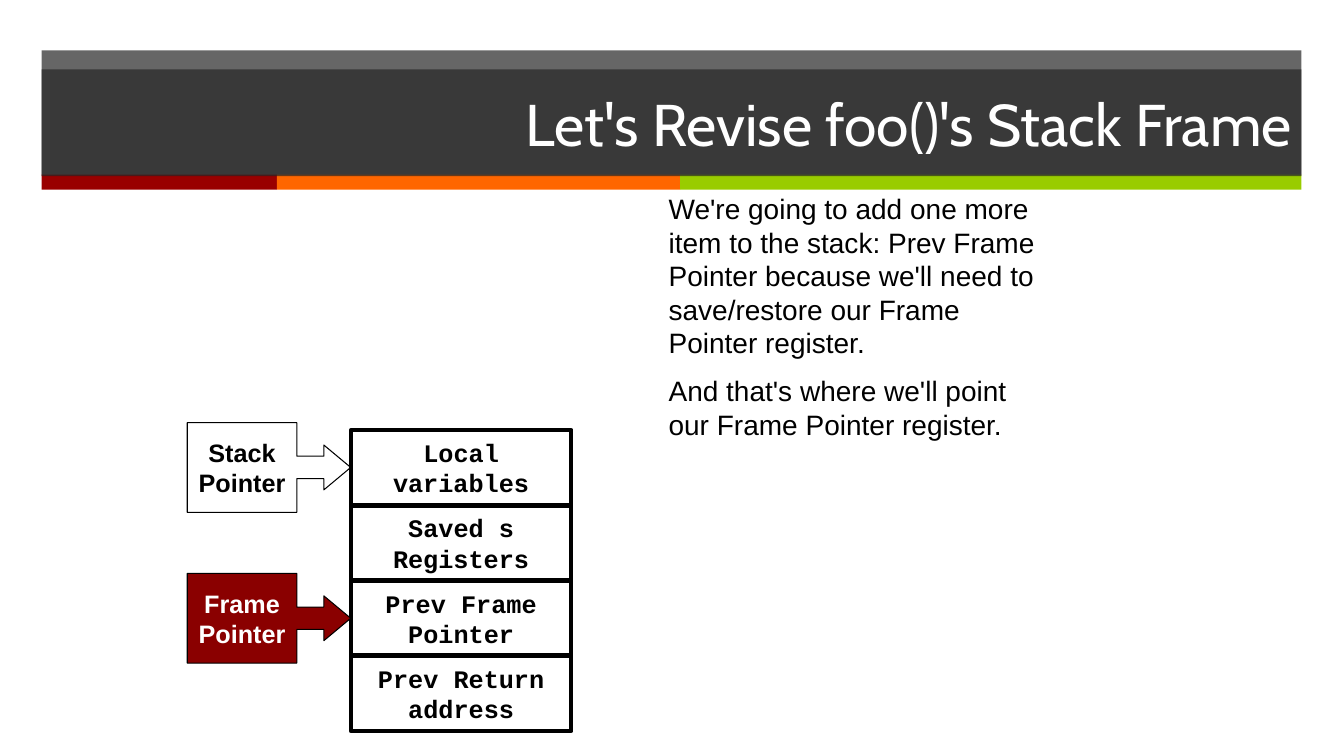
import pptx
import pptx.util
import pptx.dml.color
import pptx.enum.shapes
import pptx.enum.text
import lxml.etree
from pptx.oxml.ns import qn

Cm = pptx.util.Cm
Pt = pptx.util.Pt
RGB = pptx.dml.color.RGBColor
Shape = pptx.enum.shapes.MSO_SHAPE
Align = pptx.enum.text.PP_ALIGN
Anchor = pptx.enum.text.MSO_ANCHOR

BLACK = RGB(0x00, 0x00, 0x00)
WHITE = RGB(0xFF, 0xFF, 0xFF)
GREY = RGB(0x26, 0x26, 0x26)
RED = RGB(0x99, 0x00, 0x00)
ORANGE = RGB(0xFF, 0x66, 0x00)
GREEN = RGB(0x99, 0xCC, 0x00)
DARK_RED = RGB(0x8A, 0x00, 0x00)

STRIPES = [(RED, 5.93), (ORANGE, 10.16), (GREEN, 15.66)]
CELLS = ["Local variables", "Saved s Registers",
         "Prev Frame Pointer", "Prev Return address"]
# label, fill, text colour, index of the cell it points to
POINTERS = [("Stack\nPointer", None, BLACK, 0),
            ("Frame\nPointer", DARK_RED, WHITE, 2)]
NOTES = ["We're going to add one more item to the stack: Prev Frame Pointer "
         "because we'll need to save/restore our Frame Pointer register.",
         "And that's where we'll point our Frame Pointer register."]


def add_box(slide, kind, left, top, width, height, fill=None, line=None):
    """Add a preset shape, lengths in cm; line is a width in points."""
    box = slide.shapes.add_shape(kind, Cm(left), Cm(top), Cm(width), Cm(height))
    box.shadow.inherit = False
    if fill is None:
        box.fill.background()
    else:
        box.fill.solid()
        box.fill.fore_color.rgb = fill
    if line is None:
        box.line.fill.background()
    else:
        box.line.color.rgb = BLACK
        box.line.width = Pt(line)
    return box


def set_alpha(box, percent):
    color = box.fill._xPr.find(".//" + qn("a:srgbClr"))
    alpha = lxml.etree.SubElement(color, qn("a:alpha"))
    alpha.set("val", str(percent * 1000))


def set_text(box, text, font, size, color, align, bold=False):
    frame = box.text_frame
    frame.text = text
    for para in frame.paragraphs:
        para.alignment = align
        for run in para.runs:
            run.font.name = font
            run.font.size = Pt(size)
            run.font.bold = bold
            run.font.color.rgb = color


def add_header(slide, left, top, width):
    band = add_box(slide, Shape.RECTANGLE, left, top, width, 3.15, GREY)
    set_alpha(band, 70)
    x = left
    for color, span in STRIPES:
        add_box(slide, Shape.RECTANGLE, x, top + 3.13, span, 0.38, color)
        x += span
    title = add_box(slide, Shape.RECTANGLE, left, top + 0.48, width, 2.69, GREY)
    set_alpha(title, 70)
    title.text_frame.vertical_anchor = Anchor.MIDDLE
    set_text(title, "Let's Revise foo()'s Stack Frame", "Cabin", 42, WHITE,
             Align.RIGHT)


def add_notes(slide, left, top, width, height):
    box = slide.shapes.add_textbox(Cm(left), Cm(top), Cm(width), Cm(height))
    box.text_frame.word_wrap = True
    set_text(box, "\n".join(NOTES), "Arial", 20, BLACK, Align.LEFT)
    for para in box.text_frame.paragraphs[1:]:
        para.space_before = Pt(10)


def add_stack(slide, left, top, width, pitch):
    """Stack the cells, with pointer callouts that touch their left side."""
    tall = 1.88
    for i, label in enumerate(CELLS):
        cell = add_box(slide, Shape.RECTANGLE, left, top + i * pitch, width,
                       tall, WHITE, 3)
        cell.text_frame.word_wrap = True
        cell.text_frame.vertical_anchor = Anchor.MIDDLE
        set_text(cell, label, "Courier New", 18, BLACK, Align.CENTER, True)

    wide, high = 4.12, 2.26
    for label, fill, color, i in POINTERS:
        y = top + i * pitch + (tall - high) / 2
        arrow = add_box(slide, Shape.RIGHT_ARROW_CALLOUT, left - wide, y, wide,
                        high, fill, 0.75)
        for n, value in enumerate((0.25, 0.25, 0.3, 0.67)):
            arrow.adjustments[n] = value
        arrow.text_frame.word_wrap = False
        arrow.text_frame.vertical_anchor = Anchor.MIDDLE
        set_text(arrow, label, "Arial", 18, color, Align.CENTER, True)


def main():
    deck = pptx.Presentation()
    deck.slide_width = Cm(33.87)
    deck.slide_height = Cm(19.05)
    slide = deck.slides.add_slide(deck.slide_layouts[6])
    add_header(slide, 1.05, 1.27, 31.75)
    add_notes(slide, 16.6, 4.7, 10.1, 6.68)
    add_stack(slide, 8.84, 10.84, 5.56, 1.9)
    deck.save("out.pptx")


if __name__ == "__main__":
    main()
